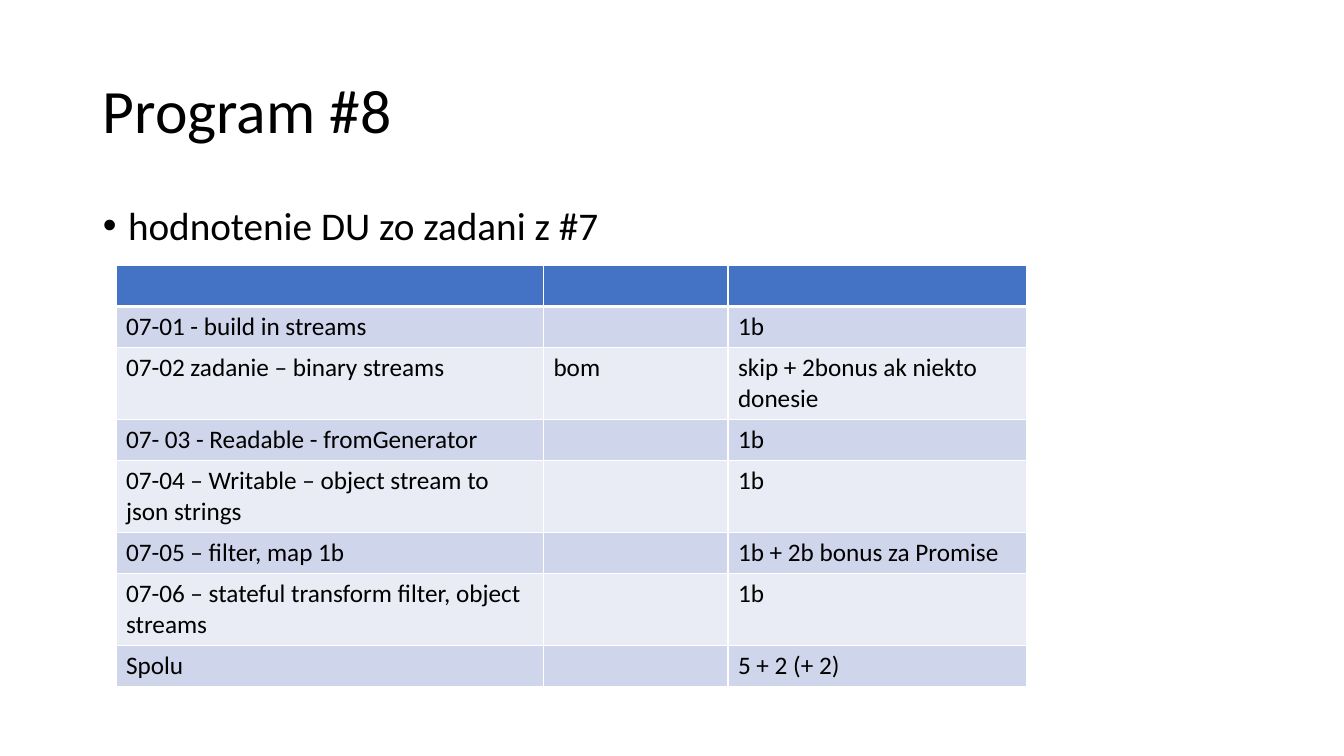
import pptx
import pptx.util
import pptx.dml.color
import pptx.enum.text
import pptx.oxml
import pptx.oxml.ns

# Content
TITLE = "Program #8"
LEAD = "hodnotenie DU zo zadani z #7"
ROWS = [
    ("", "", ""),
    ("07-01 - build in streams", "", "1b"),
    ("07-02 zadanie – binary streams", "bom", "skip + 2bonus ak niekto donesie"),
    ("07- 03 - Readable - fromGenerator", "", "1b"),
    ("07-04 – Writable – object stream to json strings", "", "1b"),
    ("07-05 – filter, map 1b", "", "1b + 2b bonus za Promise"),
    ("07-06 – stateful transform filter, object streams", "", "1b"),
    ("Spolu", "", "5 + 2 (+ 2)"),
]

# Theme and layout, 100 px to the inch
THEME = {
    "font": "Calibri", "ink": "000000", "line": "FFFFFF", "head": "4472C4",
    "bands": ("E9EBF5", "CFD5EA"), "title": 44, "body": 28, "cell": 18,
}
PX = 9144
SLIDE = (1333, 750)
BOXES = {"title": (92, 40, 1150, 145), "body": (92, 200, 1150, 476)}
SPOT = (115, 263)
COLS = (424, 183, 296)
LOW, TALL = 41, 70
WRAPPED = (2, 4, 6)
INDENT = 25


def color(name):
    return pptx.dml.color.RGBColor.from_string(name)


def apply(item, values):
    for name, value in values.items():
        setattr(item, name, value)


def style(para, size):
    apply(para.font, {"name": THEME["font"], "size": pptx.util.Pt(size), "bold": False})
    para.font.color.rgb = color(THEME["ink"])


def fill_holder(holder, box, text, size, anchor, gap):
    apply(holder, dict(zip(("left", "top", "width", "height"), (n * PX for n in box))))
    frame = holder.text_frame
    apply(frame, {"text": text, "vertical_anchor": anchor, "word_wrap": True,
                  "auto_size": pptx.enum.text.MSO_AUTO_SIZE.NONE})
    para = frame.paragraphs[0]
    apply(para, {"alignment": pptx.enum.text.PP_ALIGN.LEFT, "line_spacing": 0.9,
                 "space_before": pptx.util.Pt(gap)})
    style(para, size)
    return para


def border(cell, side, points):
    space = pptx.oxml.ns.nsdecls("a")
    cell._tc.get_or_add_tcPr().append(pptx.oxml.parse_xml(
        f'<a:ln{side} {space} w="{pptx.util.Pt(points)}"><a:solidFill>'
        f'<a:srgbClr val="{THEME["line"]}"/></a:solidFill></a:ln{side}>'))


def build():
    deck = pptx.Presentation()
    apply(deck, {"slide_width": SLIDE[0] * PX, "slide_height": SLIDE[1] * PX})
    slide = deck.slides.add_slide(deck.slide_layouts[1])
    anchors = pptx.enum.text.MSO_ANCHOR

    # Title and bullet
    fill_holder(slide.shapes.title, BOXES["title"], TITLE, THEME["title"], anchors.MIDDLE, 0)
    lead = fill_holder(slide.placeholders[1], BOXES["body"], LEAD, THEME["body"], anchors.TOP, 10)
    props = lead._p.get_or_add_pPr()
    props.set("marL", str(INDENT * PX))
    props.set("indent", str(-INDENT * PX))

    # Score table
    highs = [TALL if i in WRAPPED else LOW for i in range(len(ROWS))]
    size = (sum(COLS), sum(highs))
    table = slide.shapes.add_table(
        len(ROWS), len(COLS), *(n * PX for n in SPOT + size)).table
    for col, width in zip(table.columns, COLS):
        col.width = width * PX
    for i, (row, texts) in enumerate(zip(table.rows, ROWS)):
        row.height = highs[i] * PX
        shade = THEME["bands"][i % 2] if i else THEME["head"]
        for cell, text in zip(row.cells, texts):
            cell.text = text
            style(cell.text_frame.paragraphs[0], THEME["cell"])
            for side in "LRTB":
                thick = (i, side) in ((0, "B"), (1, "T"))
                border(cell, side, 3 if thick else 1)
            cell.fill.solid()
            cell.fill.fore_color.rgb = color(shade)

    deck.save("out.pptx")


if __name__ == "__main__":
    build()
